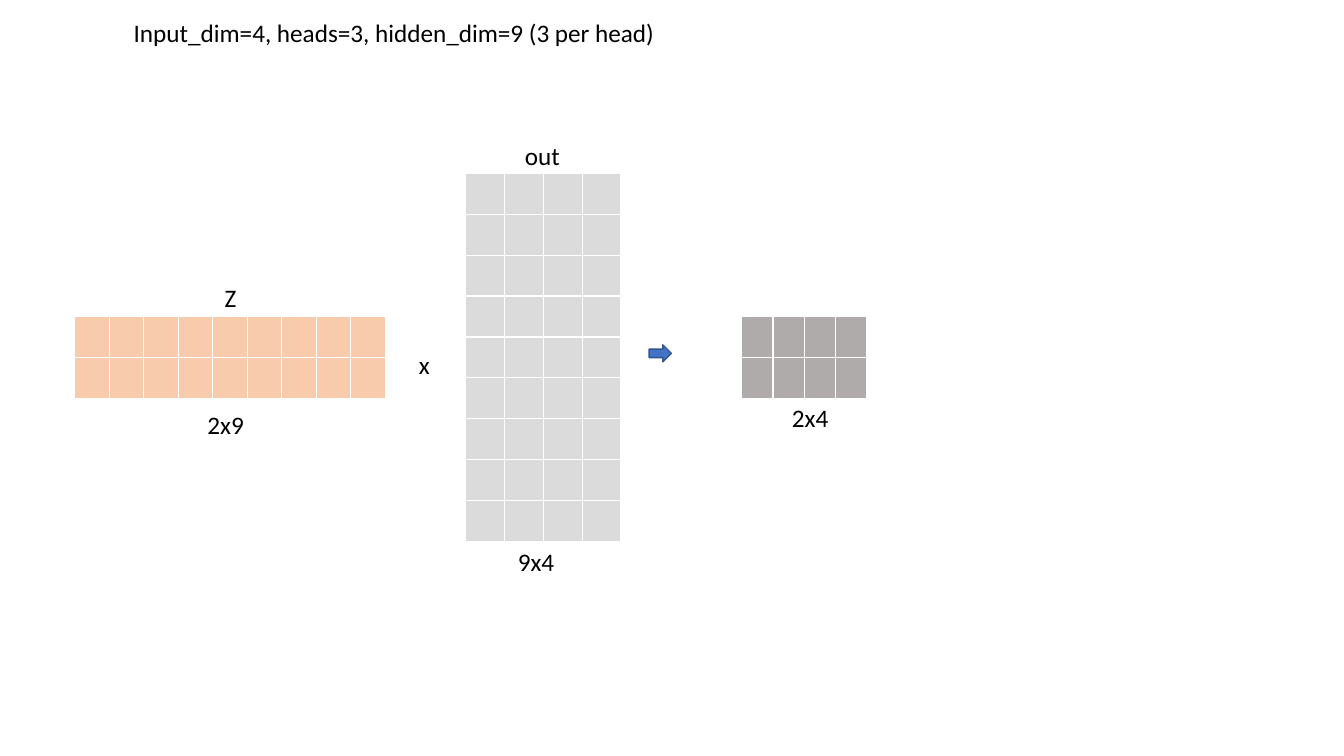
"""Build a slide showing the output projection of multi-head attention."""
from pptx import Presentation
from pptx import util as u
from pptx.dml.color import RGBColor
from pptx.enum import shapes, text

THEME = {
    "font": "Calibri",
    "size": u.Pt(18),
    "text": RGBColor.from_string("000000"),
    "z": RGBColor.from_string("F8CBAD"),
    "out": RGBColor.from_string("DBDBDB"),
    "result": RGBColor.from_string("AFABAB"),
    "arrow": RGBColor.from_string("4472C4"),
    "arrow_line": RGBColor.from_string("325491"),
}

prs = Presentation()
prs.slide_width, prs.slide_height = u.Cm(33.87), u.Cm(19.05)
s = prs.slides.add_slide(prs.slide_layouts[6])

matrices = [
    ("z", 2, 9, 1.88, 7.98, 0.87, 1.02),
    ("out", 9, 4, 11.73, 4.37, 0.98, 1.03),
    ("result", 2, 4, 18.69, 7.98, 0.79, 1.02),
]
for name, rows, cols, left, top, col_width, row_height in matrices:
    frame = s.shapes.add_table(rows, cols, u.Cm(left), u.Cm(top),
                               u.Cm(cols * col_width), u.Cm(rows * row_height))
    table = frame.table
    table.horz_banding = False
    for column in table.columns:
        column.width = u.Cm(col_width)
    for row in table.rows:
        row.height = u.Cm(row_height)
    for cell in table.iter_cells():
        cell.fill.solid()
        cell.fill.fore_color.rgb = THEME[name]

labels = [
    ("Input_dim=4, heads=3, hidden_dim=9 (3 per head)", 3.12, 0.3, 13.82),
    ("Z", 5.41, 6.99, 0.81),
    ("2x9", 4.98, 10.19, 1.45),
    ("out", 12.98, 3.4, 1.4),
    ("9x4", 12.8, 13.64, 1.45),
    ("x", 10.31, 8.69, 0.79),
    ("2x4", 19.71, 10.01, 1.45),
]
for label, left, top, width in labels:
    sp = s.shapes.add_textbox(u.Cm(left), u.Cm(top), u.Cm(width), u.Cm(1.02))
    tf = sp.text_frame
    tf.word_wrap = False
    tf.auto_size = text.MSO_AUTO_SIZE.SHAPE_TO_FIT_TEXT
    tf.text = label
    font = tf.paragraphs[0].runs[0].font
    font.name, font.size = THEME["font"], THEME["size"]
    font.color.rgb = THEME["text"]

arrow = s.shapes.add_shape(shapes.MSO_SHAPE.RIGHT_ARROW,
                           u.Cm(16.48), u.Cm(8.74), u.Cm(0.58), u.Cm(0.46))
arrow.left, arrow.top, arrow.width, arrow.height = map(u.Cm, (16.36, 8.69, 0.56, 0.43))
arrow.shadow.inherit = False
arrow.fill.solid()
arrow.fill.fore_color.rgb = THEME["arrow"]
arrow.line.color.rgb = THEME["arrow_line"]
arrow.line.width = u.Pt(1)

prs.save("out.pptx")
